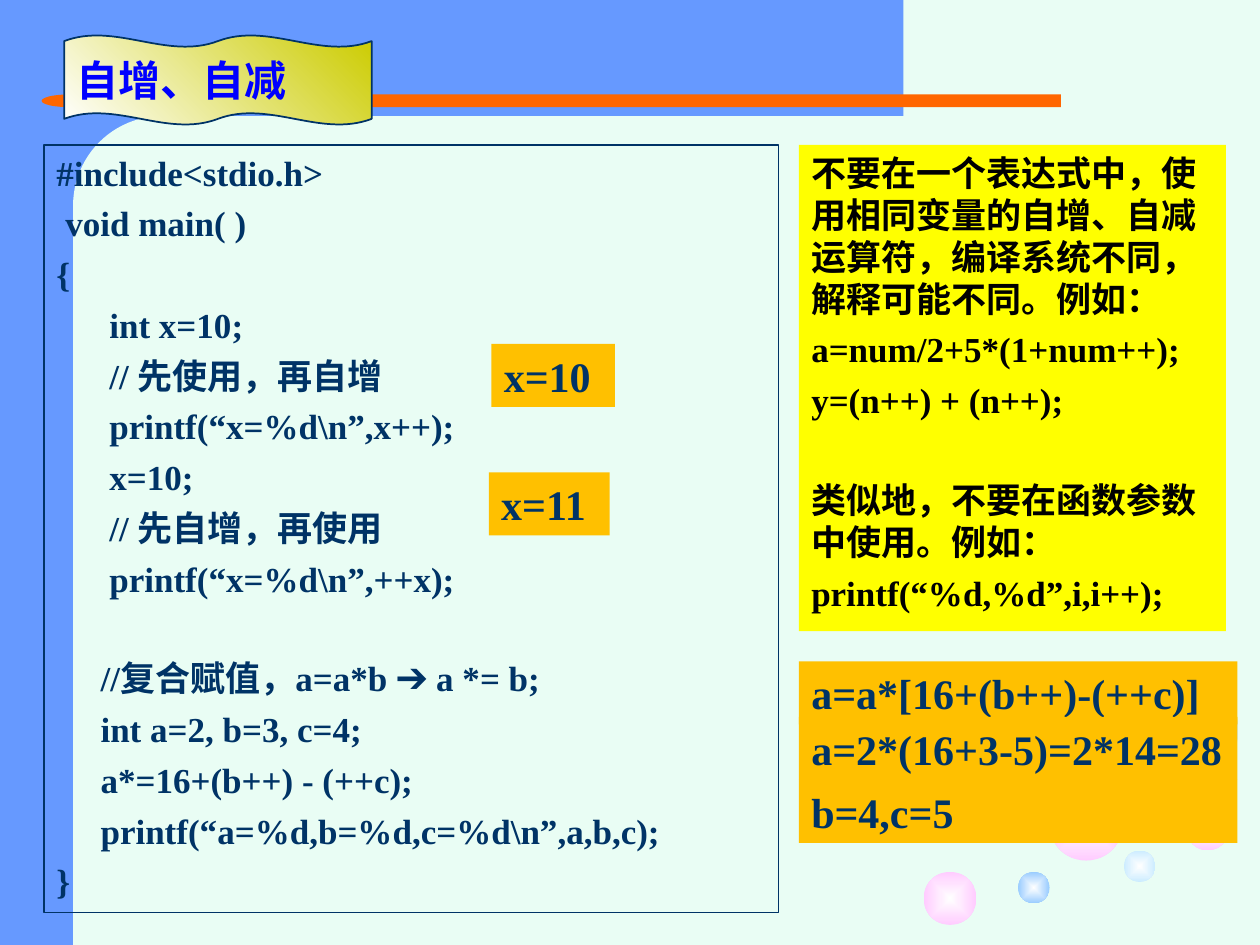
from dataclasses import dataclass
from typing import Optional

from lxml.etree import SubElement
from pptx import Presentation
from pptx.dml.color import RGBColor
from pptx.enum.shapes import MSO_SHAPE as Preset
from pptx.enum.text import MSO_ANCHOR as Anchor, MSO_AUTO_SIZE as AutoSize, PP_ALIGN as Align
from pptx.oxml.ns import qn
from pptx.util import Inches, Pt


@dataclass(frozen=True)
class Theme:
    """Colours, font and type sizes of the slide."""
    font: str = "Times New Roman"
    paper: str = "E9FDF4"
    blue: str = "6699FF"
    rule: str = "FF6600"
    ink: str = "003366"
    title: str = "0000FF"
    black: str = "000000"
    white: str = "FFFFFF"
    olive: str = "CCCC00"
    amber: str = "FFC000"
    yellow: str = "FFFF00"
    pink: str = "FFCCFF"
    pale: str = "CCECFF"
    sky: str = "99CCFF"
    body_size: int = 20
    large_size: int = 24
    gap: int = 5
    wide_gap: int = 33


@dataclass(frozen=True)
class Box:
    """A place on the slide, in inches."""
    left: float
    top: float
    width: float
    height: float

    def lengths(self) -> tuple:
        """Return the four lengths in order."""
        return tuple(Inches(v) for v in (self.left, self.top, self.width, self.height))


@dataclass(frozen=True)
class Panel:
    """A flat background shape."""
    box: Box
    colour: str
    preset: Preset = Preset.RECTANGLE
    rotation: int = 0


@dataclass(frozen=True)
class Bubble:
    """A round decoration with a white centre."""
    left: float
    top: float
    size: float
    colour: str


@dataclass(frozen=True)
class Line:
    """One paragraph with its indent in inches."""
    text: str
    indent: float = 0
    before: int = Theme.gap


@dataclass(frozen=True)
class Note:
    """A filled box holding lines of text."""
    box: Box
    lines: tuple
    fill: Optional[str] = Theme.amber
    colour: str = Theme.ink
    size: int = Theme.large_size


T = Theme()
IN, DEEP = 0.35, 0.42
RIGHT = 6.34

PANELS = (
    Panel(Box(0, 0, 1.25, 7.5), T.blue),
    Panel(Box(0.5, 0, 6.67, 0.92), T.blue),
    Panel(Box(0.58, 0.92, 1.42, 5.75), T.paper, Preset.ROUNDED_RECTANGLE),
    Panel(Box(0.75, 0.75, 7.67, 0.1), T.rule),
    Panel(Box(0.33, 0.75, 0.43, 0.1), T.rule, Preset.FLOWCHART_DELAY, 180),
    Panel(Box(0.58, 5.92, 1.42, 1.58), T.paper),
)
BUBBLES = (
    Bubble(8.33, 6.25, 0.58, T.pink),
    Bubble(7.33, 6.92, 0.42, T.pink),
    Bubble(8.92, 6.75, 0.25, T.pale),
    Bubble(9.42, 6.42, 0.33, T.pink),
    Bubble(9.08, 5.42, 0.75, T.pale),
    Bubble(8.08, 6.92, 0.25, T.sky),
)
PROGRAM = Note(Box(0.35, 1.15, 5.83, 6.09), (
    Line("#include<stdio.h>"),
    Line("void main( )", 0.07),
    Line("{"),
    Line("int x=10;", DEEP),
    Line("// 先使用，再自增", DEEP),
    Line("printf(“x=%d\\n”,x++);", DEEP),
    Line("x=10;", DEEP),
    Line("// 先自增，再使用", DEEP),
    Line("printf(“x=%d\\n”,++x);", DEEP),
    Line("//复合赋值，a=a*b ➔ a *= b;", IN, T.wide_gap),
    Line("int a=2, b=3, c=4;", IN),
    Line("a*=16+(b++) - (++c);", IN),
    Line("printf(“a=%d,b=%d,c=%d\\n”,a,b,c);", IN),
    Line("}"),
), fill=None, size=T.body_size)
RESULTS = (
    Note(Box(3.9, 2.73, 0.98, 0.5), (Line("x=10"),)),
    Note(Box(3.88, 3.75, 0.96, 0.5), (Line("x=11"),)),
    Note(Box(RIGHT, 5.25, 3.48, 0.5), (Line("a=a*[16+(b++)-(++c)]"),)),
    Note(Box(RIGHT, 5.69, 3.48, 0.5), (Line("a=2*(16+3-5)=2*14=28"),)),
    Note(Box(RIGHT, 6.19, 3.48, 0.5), (Line("b=4,c=5"),)),
)
WARNING = Note(Box(RIGHT, 1.15, 3.39, 3.86), (
    Line("不要在一个表达式中，使用相同变量的自增、自减运算符，编译系统不同，解释可能不同。例如："),
    Line("a=num/2+5*(1+num++);"),
    Line("y=(n++) + (n++);"),
    Line("类似地，不要在函数参数中使用。例如：", before=T.wide_gap),
    Line("printf(“%d,%d”,i,i++);"),
), fill=T.yellow, colour=T.black, size=T.body_size)


def rgb(colour: str) -> RGBColor:
    """Turn a hex string into a colour."""
    return RGBColor.from_string(colour)


def add_preset(slide, preset: Preset, box: Box, fill: Optional[str] = None):
    """Add a plain shape without shadow or outline."""
    shape = slide.shapes.add_shape(preset, *box.lengths())
    shape.shadow.inherit = False
    shape.line.fill.background()
    if fill:
        shape.fill.solid()
        shape.fill.fore_color.rgb = rgb(fill)
    else:
        shape.fill.background()
    return shape


def outline(shape, width: float) -> None:
    """Give a shape an ink-coloured outline."""
    shape.line.color.rgb = rgb(T.ink)
    shape.line.width = Pt(width)


def shade(shape, colour: str) -> None:
    """Fill a shape with a gradient from white to the colour."""
    shape.fill.gradient()
    for stop, value in zip(shape.fill.gradient_stops, (T.white, colour)):
        stop.color.rgb = rgb(value)


def add_bubble(slide, bubble: Bubble) -> None:
    """Add a circle shaded outward from its centre."""
    box = Box(bubble.left, bubble.top, bubble.size, bubble.size)
    circle = add_preset(slide, Preset.OVAL, box)
    shade(circle, bubble.colour)
    gradient = circle.element.spPr.find(qn("a:gradFill"))
    gradient.remove(gradient.find(qn("a:lin")))
    centre = SubElement(gradient, qn("a:path"), path="shape")
    SubElement(centre, qn("a:fillToRect"), {side: "50000" for side in "ltrb"})


def write_lines(frame, lines: tuple, size: int, colour: str) -> None:
    """Write bold, left-aligned paragraphs into a text frame."""
    frame.word_wrap = True
    frame.auto_size = AutoSize.NONE
    for index, line in enumerate(lines):
        paragraph = frame.add_paragraph() if index else frame.paragraphs[0]
        paragraph.alignment = Align.LEFT
        paragraph.space_before = Pt(line.before if index else 0)
        if line.indent:
            paragraph._p.get_or_add_pPr().set("marL", str(Inches(line.indent)))
        run = paragraph.add_run()
        run.text = line.text
        run.font.name, run.font.size, run.font.bold = T.font, Pt(size), True
        run.font.color.rgb = rgb(colour)


def add_note(slide, note: Note):
    """Add a box with its lines of text."""
    shape = add_preset(slide, Preset.RECTANGLE, note.box, note.fill)
    shape.text_frame.vertical_anchor = Anchor.TOP
    write_lines(shape.text_frame, note.lines, note.size, note.colour)
    return shape


def add_heading(slide, text: str) -> None:
    """Draw the banner and set the title on it."""
    box = Box(0.51, 0.28, 2.44, 0.71)
    banner = add_preset(slide, Preset.DOUBLE_WAVE, box)
    banner.adjustments[0] = 0.065
    shade(banner, T.olive)
    banner.fill.gradient_angle = 45
    outline(banner, 1)
    title = slide.shapes.title
    title.left, title.top, title.width, title.height = box.lengths()
    title.text_frame.vertical_anchor = Anchor.MIDDLE
    write_lines(title.text_frame, (Line(text),), T.large_size, T.title)
    banner.element.addnext(title.element)


def build() -> None:
    """Build and save the slide."""
    deck = Presentation()
    deck.slide_width, deck.slide_height = Inches(10), Inches(7.5)
    slide = deck.slides.add_slide(deck.slide_layouts[5])
    slide.background.fill.solid()
    slide.background.fill.fore_color.rgb = rgb(T.paper)
    for panel in PANELS:
        shape = add_preset(slide, panel.preset, panel.box, panel.colour)
        shape.rotation = panel.rotation
        if panel.preset == Preset.ROUNDED_RECTANGLE:
            shape.adjustments[0] = 0.5
    for bubble in BUBBLES:
        add_bubble(slide, bubble)
    outline(add_note(slide, PROGRAM), 0.75)
    add_heading(slide, "自增、自减")
    for note in (*RESULTS, WARNING):
        add_note(slide, note)
    deck.save("out.pptx")


build()
